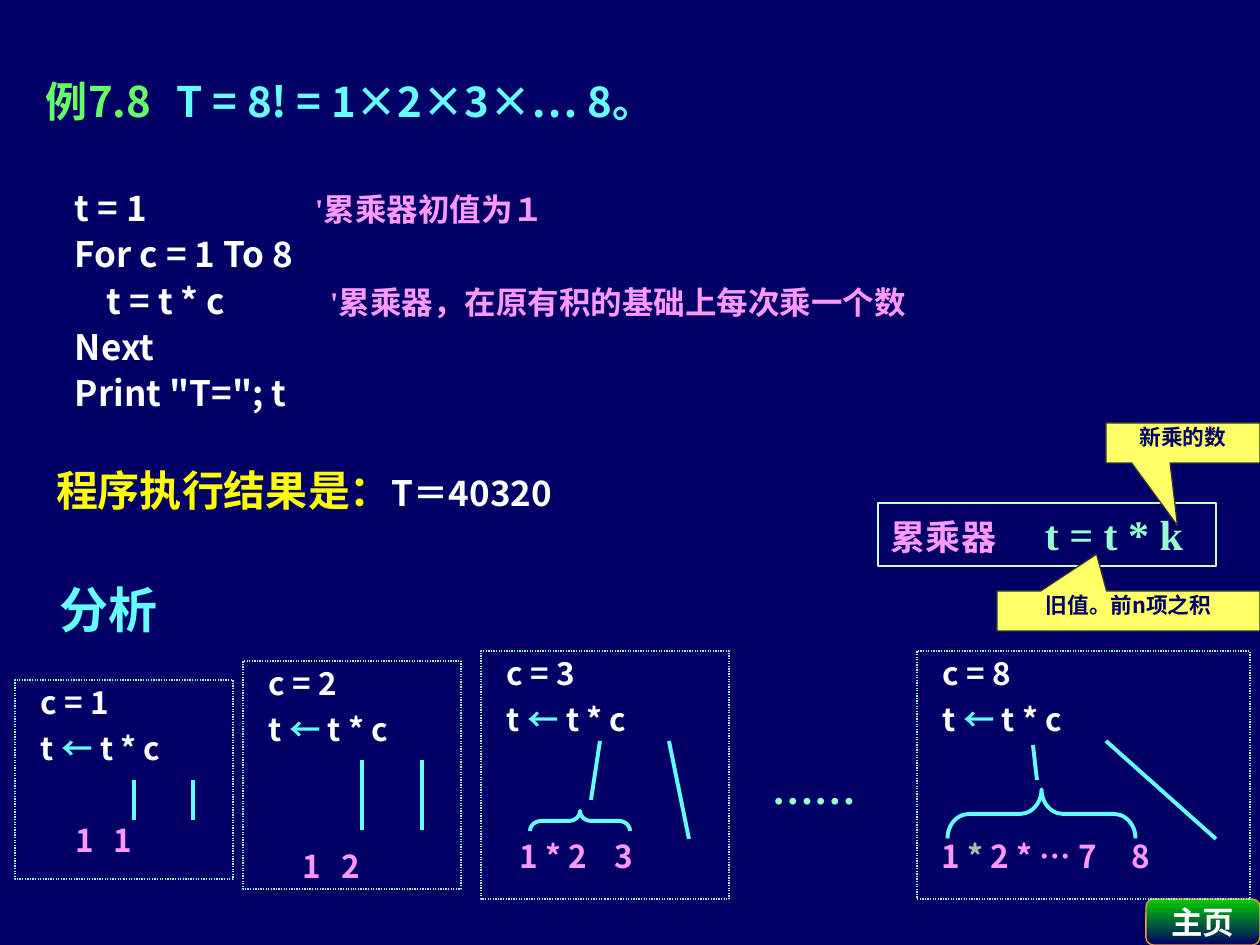
from pptx import Presentation
from pptx.dml.color import RGBColor
from pptx.enum.dml import MSO_LINE
from pptx.enum.shapes import MSO_CONNECTOR, MSO_SHAPE
from pptx.enum.text import MSO_ANCHOR, MSO_AUTO_SIZE, PP_ALIGN
from pptx.oxml.ns import qn
from pptx.util import Pt
from lxml import etree

PX = 914400 // 126
NAVY = RGBColor(0x00, 0x00, 0x66)
WHITE = RGBColor(0xFF, 0xFF, 0xFF)
CYAN = RGBColor(0x66, 0xFF, 0xFF)
PINK = RGBColor(0xFF, 0x99, 0xFF)
MINT = RGBColor(0x99, 0xFF, 0xCC)
PALE = RGBColor(0xCC, 0xFF, 0xCC)
LIME = RGBColor(0x66, 0xFF, 0x66)
GREEN = RGBColor(0x00, 0xCC, 0x00)
YELLOW = RGBColor(0xFF, 0xFF, 0x00)
NOTE = RGBColor(0xFF, 0xFF, 0x66)
GREY = RGBColor(0x33, 0x33, 0x33)
SAGE = RGBColor(0xA9, 0xBD, 0xA9)
ORANGE = RGBColor(0xFF, 0x99, 0x33)
SANS, SERIF = "Noto Sans CJK SC", "Times New Roman"
RECT, ROUND = MSO_SHAPE.RECTANGLE, MSO_SHAPE.ROUNDED_RECTANGLE
CALLOUT, BRACE = MSO_SHAPE.RECTANGULAR_CALLOUT, MSO_SHAPE.LEFT_BRACE
LEFT, CENTER = PP_ALIGN.LEFT, PP_ALIGN.CENTER
TOP, MIDDLE = MSO_ANCHOR.TOP, MSO_ANCHOR.MIDDLE
DOTTED = MSO_LINE.ROUND_DOT
STRAIGHT = MSO_CONNECTOR.STRAIGHT


def run(p, text, size=18, color=WHITE, font=SANS):
    """Append one bold run with its Latin and East Asian fonts."""
    r = p.add_run()
    r.text = text
    r.font.size = Pt(size)
    r.font.bold = True
    r.font.name = font
    r.font.color.rgb = color
    ea = etree.SubElement(r.font._element, qn("a:ea"))
    ea.set("typeface", SANS)


def paragraph(tf, runs, first=False, align=LEFT, spacing=None, before=0, tab=None):
    """Add a paragraph made of (text, format) pairs."""
    p = tf.paragraphs[0] if first else tf.add_paragraph()
    if tab:
        tabs = etree.SubElement(p._p.get_or_add_pPr(), qn("a:tabLst"))
        etree.SubElement(tabs, qn("a:tab"), pos=str(tab * PX), algn="l")
    p.alignment = align
    if spacing:
        p.line_spacing = spacing
    if before:
        p.space_before = Pt(before)
    for text, fmt in runs:
        run(p, text, **fmt)


class Deck:
    """Current slide and the shared style of its elements."""

    def __init__(self):
        self.prs = Presentation()
        self.prs.slide_width, self.prs.slide_height = 1260 * PX, 945 * PX
        self.slide = self.prs.slides.add_slide(self.prs.slide_layouts[5])
        fill = self.slide.background.fill
        fill.solid()
        fill.fore_color.rgb = NAVY

    def frame(self, s, inset=(0, 0), anchor=TOP, wrap=True):
        tf = s.text_frame
        tf.auto_size = MSO_AUTO_SIZE.NONE
        tf.word_wrap = wrap
        tf.vertical_anchor = anchor
        tf.margin_left = tf.margin_right = inset[0] * PX
        tf.margin_top = tf.margin_bottom = inset[1] * PX
        return tf

    def title(self, x, y, w, h, runs, **fmt):
        s = self.slide.shapes.title
        s.left, s.top, s.width, s.height = (v * PX for v in (x, y, w, h))
        paragraph(self.frame(s), runs, first=True, **fmt)

    def text(self, x, y, w, h, lines, inset=(0, 0)):
        s = self.slide.shapes.add_textbox(x * PX, y * PX, w * PX, h * PX)
        tf = self.frame(s, inset)
        for i, (runs, fmt) in enumerate(lines):
            paragraph(tf, runs, first=i == 0, **fmt)

    def shape(self, kind, x, y, w, h, line, width=0.75, fill=None, adj=()):
        s = self.slide.shapes.add_shape(kind, x * PX, y * PX, w * PX, h * PX)
        s.shadow.inherit = False
        for i, value in enumerate(adj):
            s.adjustments[i] = value
        if fill is None:
            s.fill.background()
        else:
            s.fill.solid()
            s.fill.fore_color.rgb = fill
        s.line.color.rgb = line
        s.line.width = Pt(width)
        return s

    def line(self, x1, y1, x2, y2):
        s = self.slide.shapes.add_connector(STRAIGHT, x1 * PX, y1 * PX, x2 * PX, y2 * PX)
        s.line.color.rgb = CYAN
        s.line.width = Pt(2.25)
        etree.SubElement(s._element.spPr, qn("a:effectLst"))

    def brace(self, x, y, w, h, curve):
        """Brace pointing up that fills the given area."""
        s = self.shape(BRACE, x + (w - h) // 2, y + (h - w) // 2, h, w, CYAN, 2.25,
                       adj=(curve, 0.5))
        s.rotation = 90

    def callout(self, x, y, w, h, text, tip):
        s = self.shape(CALLOUT, x, y, w, h, GREY, fill=NOTE, adj=tip)
        paragraph(self.frame(s, (13, 6)), [(text, dict(size=12.4, color=NAVY))],
                  first=True, align=CENTER, spacing=0.8)

    def panel(self, x, y, w, h, step, values, value_x, value_y, tab):
        """One loop step: counter, assignment and the multiplied values."""
        s = self.shape(RECT, x, y, w, h, MINT)
        s.line.dash_style = DOTTED
        tf = self.frame(s, (26, 1))
        paragraph(tf, [(f"c = {step}", {})], first=True, spacing=Pt(23))
        paragraph(tf, [("t ", {}), ("← ", dict(color=CYAN)), ("t * c", {})],
                  spacing=Pt(23), before=3)
        self.text(value_x, value_y, x + w - value_x, 46,
                  [(values, dict(spacing=Pt(26), tab=tab))])

    def home_button(self, x, y, w, h, text):
        s = self.shape(ROUND, x, y, w, h, ORANGE, adj=(0.167,))
        s.fill.gradient()
        s.fill.gradient_angle = 270
        for stop, color in zip(s.fill.gradient_stops, (GREEN, NAVY)):
            stop.color.rgb = color
        paragraph(self.frame(s, (13, 6), MIDDLE, wrap=False),
                  [(text, dict(font=SERIF))], first=True, align=CENTER)


def main():
    deck = Deck()
    pink = dict(color=PINK)
    white = dict(size=20)
    apostrophe = ("'", dict(color=PINK, font=SERIF))

    deck.home_button(1146, 899, 114, 46, "主页")

    # Heading
    deck.title(46, 75, 1100, 61, [
        ("例7.8\t", dict(size=24, color=LIME)),
        ("T = 8! = 1×2×3×… 8。", dict(size=24, color=CYAN))], tab=131)

    # Program with its comments
    code = [("t = 1", "累乘器初值为１", 240), ("For c = 1 To 8", "", None),
            ("    t = t * c", "累乘器，在原有积的基础上每次乘一个数", 255),
            ("Next", "", None), ('Print "T="; t', "", None)]
    lines = []
    for statement, comment, tab in code:
        runs = [(statement, white)]
        if comment:
            runs += [("\t", white), apostrophe, (comment, pink)]
        lines.append((runs, dict(spacing=Pt(26.5), tab=tab)))
    deck.text(75, 182, 1100, 232, lines)

    # Result and analysis
    deck.text(56, 462, 800, 53, [([("程序执行结果是：", dict(size=24, color=YELLOW)),
                                   ("T＝40320", white)], dict(spacing=Pt(30)))])
    deck.text(60, 577, 300, 61, [([("分析", dict(size=28, color=CYAN))],
                                  dict(spacing=Pt(35)))])

    # Loop steps
    deck.panel(15, 680, 218, 199, 1, [("1\t1", pink)], 75, 813, 39)
    deck.panel(243, 661, 218, 228, 2, [("1\t2", pink)], 303, 839, 39)
    deck.panel(481, 651, 248, 248, 3, [("1 * 2\t3", pink)], 520, 829, 95)
    deck.panel(917, 651, 333, 248, 8, [("1 ", pink), ("* ", dict(color=SAGE)),
                                       ("2 * … 7\t8", pink)], 942, 829, 190)
    deck.text(759, 757, 118, 63, [([("……", dict(size=24, color=MINT, font=SERIF))], {})],
              inset=(13, 6))

    # Links from the factors to their values
    for x, y1, y2 in ((134, 780, 820), (193, 780, 820), (362, 760, 830), (422, 760, 830)):
        deck.line(x, y1, x, y2)
    for ends in ((600, 741, 591, 800), (669, 741, 689, 839),
                 (1033, 745, 1037, 780), (1106, 741, 1216, 839)):
        deck.line(*ends)
    deck.brace(530, 811, 100, 20, 0.56)
    deck.brace(948, 790, 188, 49, 0.44)

    # Accumulator formula with callouts
    s = deck.shape(RECT, 878, 503, 338, 63, PALE)
    paragraph(deck.frame(s, (13, 6)), [
        ("累乘器\t", dict(size=20, color=PINK, font=SERIF)),
        ("t = t * k", dict(size=24, color=MINT, font=SERIF))], first=True, tab=154)
    deck.callout(997, 591, 263, 40, "旧值。前n项之积", (-0.121, -1.423))
    deck.callout(1106, 423, 154, 40, "新乘的数", (-0.035, 2.071))

    deck.prs.save("out.pptx")


if __name__ == "__main__":
    main()
